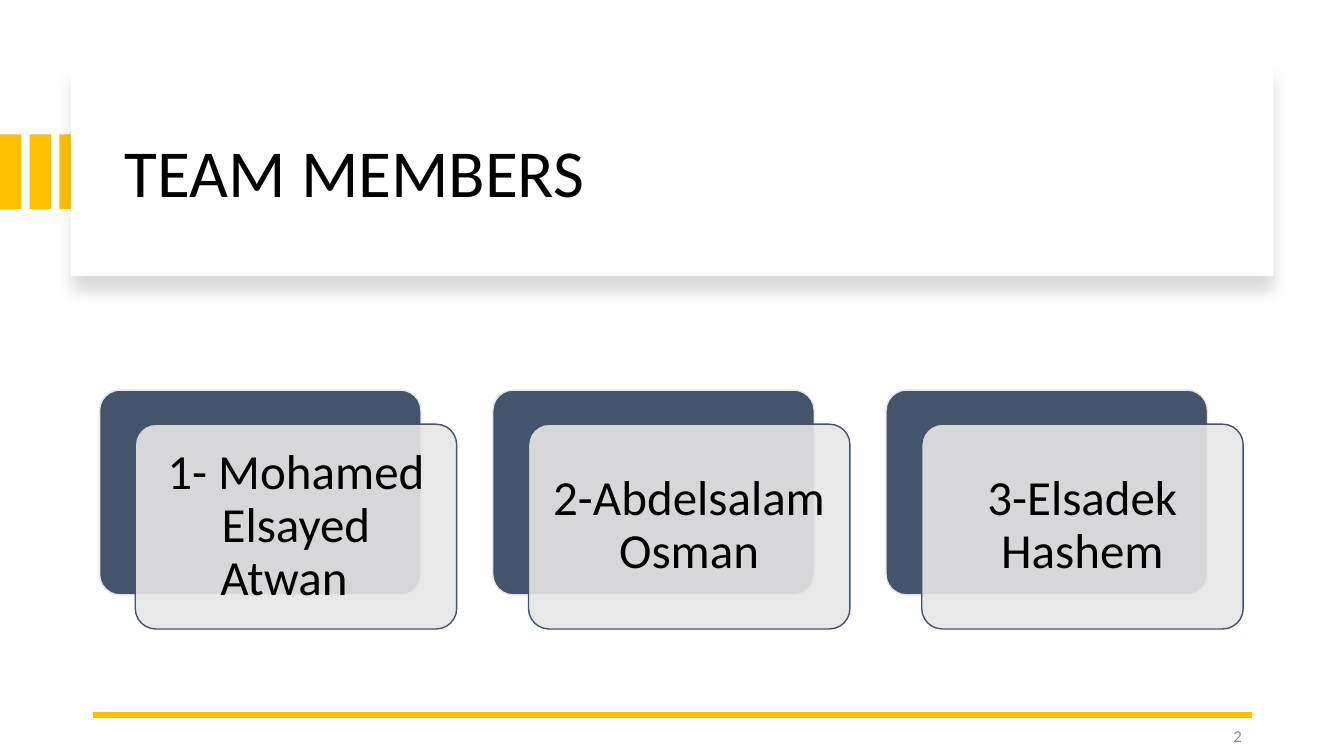
"""Build the team members slide."""
from lxml import etree
from pptx import Presentation
from pptx.dml.color import RGBColor
from pptx.enum.shapes import MSO_CONNECTOR, MSO_SHAPE
from pptx.enum.text import MSO_ANCHOR, PP_ALIGN
from pptx.oxml.ns import qn
from pptx.util import Cm, Pt

RECTANGLE = MSO_SHAPE.RECTANGLE
ROUNDED = MSO_SHAPE.ROUNDED_RECTANGLE
STRAIGHT = MSO_CONNECTOR.STRAIGHT
MIDDLE = MSO_ANCHOR.MIDDLE
LEFT, CENTER, RIGHT = PP_ALIGN.LEFT, PP_ALIGN.CENTER, PP_ALIGN.RIGHT

FONT = "Calibri"
WHITE, BLACK, GRAY = "FFFFFF", "000000", "8C8C8C"
GOLD, NAVY, SILVER = "FFC000", "44546A", "E7E6E6"
MEMBERS = ["1- Mohamed Elsayed Atwan\t", "2-Abdelsalam Osman", "3-Elsadek Hashem"]
CARD_LEFT, CARD_TOP, CARD_PITCH = 2.51, 9.83, 9.91
CARD_WIDTH, CARD_HEIGHT = 8.1, 5.16
FRONT_SHIFT_X, FRONT_SHIFT_Y = 0.9, 0.86


def color(value):
    """Turn a hex string into a colour."""
    return RGBColor.from_string(value)


def add_box(slide, kind, left, top, width, height, fill, line=None):
    """Add a filled preset shape, outlined if a line colour is given."""
    shape = slide.shapes.add_shape(kind, Cm(left), Cm(top), Cm(width), Cm(height))
    shape.shadow.inherit = False
    shape.fill.solid()
    shape.fill.fore_color.rgb = color(fill)
    if line:
        shape.line.color.rgb = color(line)
        shape.line.width = Pt(1)
    else:
        shape.line.fill.background()
    return shape


def set_text(shape, text, size, text_color, alignment, line_spacing=0.9):
    """Write one formatted paragraph into a shape."""
    frame = shape.text_frame
    frame.text = text
    frame.word_wrap = True
    frame.vertical_anchor = MIDDLE
    paragraph = frame.paragraphs[0]
    paragraph.alignment = alignment
    paragraph.line_spacing = line_spacing
    for run in paragraph.runs:
        run.font.name = FONT
        run.font.size = Pt(size)
        run.font.color.rgb = color(text_color)


def add_label(slide, left, top, width, height, *text_options):
    """Add a text box with one formatted paragraph."""
    box = slide.shapes.add_textbox(Cm(left), Cm(top), Cm(width), Cm(height))
    set_text(box, *text_options)


def add_alpha(color_element, percent):
    """Set the opacity of a colour element."""
    etree.SubElement(color_element, qn("a:alpha"), val=str(percent * 1000))


def add_soft_shadow(shape):
    """Give a shape a blurred shadow below it."""
    effects = shape.element.spPr.find(qn("a:effectLst"))
    shadow = etree.SubElement(
        effects, qn("a:outerShdw"), blurRad=str(Pt(11)), dist=str(Pt(10)),
        dir="5400000", algn="t", rotWithShape="0")
    shadow_color = etree.SubElement(shadow, qn("a:srgbClr"), val=BLACK)
    add_alpha(shadow_color, 15)


def add_rule(slide, left, right, top):
    """Add the gold rule above the footer."""
    rule = slide.shapes.add_connector(STRAIGHT, Cm(right), Cm(top), Cm(left), Cm(top))
    rule.line.color.rgb = color(GOLD)
    rule.line.width = Pt(4.5)
    etree.SubElement(rule.element.spPr, qn("a:effectLst"))


def add_member_card(slide, left, name):
    """Add a navy card with a translucent name card in front."""
    back = add_box(slide, ROUNDED, left, CARD_TOP, CARD_WIDTH, CARD_HEIGHT, NAVY, SILVER)
    front = add_box(slide, ROUNDED, left + FRONT_SHIFT_X, CARD_TOP + FRONT_SHIFT_Y,
                    CARD_WIDTH, CARD_HEIGHT, SILVER, NAVY)
    for card in (back, front):
        card.adjustments[0] = 0.1
    add_alpha(front.element.spPr.find(qn("a:solidFill"))[0], 90)
    frame = front.text_frame
    frame.margin_left = frame.margin_right = Cm(0.38)
    frame.margin_top = frame.margin_bottom = Cm(0.38)
    set_text(front, name, 35, BLACK, CENTER)


def main():
    """Build and save the presentation."""
    presentation = Presentation()
    presentation.slide_width, presentation.slide_height = Cm(33.87), Cm(19.05)
    slide = presentation.slides.add_slide(presentation.slide_layouts[6])

    for index in range(3):
        add_box(slide, RECTANGLE, index * 0.75, 3.39, 0.54, 1.88, GOLD)
    banner = add_box(slide, RECTANGLE, 1.79, 1.7, 30.3, 5.26, WHITE)
    add_soft_shadow(banner)
    add_label(slide, 2.9, 2.26, 28.27, 4.32, "TEAM MEMBERS", 48, BLACK, LEFT)

    add_rule(slide, 2.34, 31.55, 18.01)
    add_label(slide, 23.93, 18.03, 7.62, 1.02, "2", 12, GRAY, RIGHT, 1.0)

    for index, name in enumerate(MEMBERS):
        add_member_card(slide, CARD_LEFT + index * CARD_PITCH, name)

    presentation.save("out.pptx")


if __name__ == "__main__":
    main()
